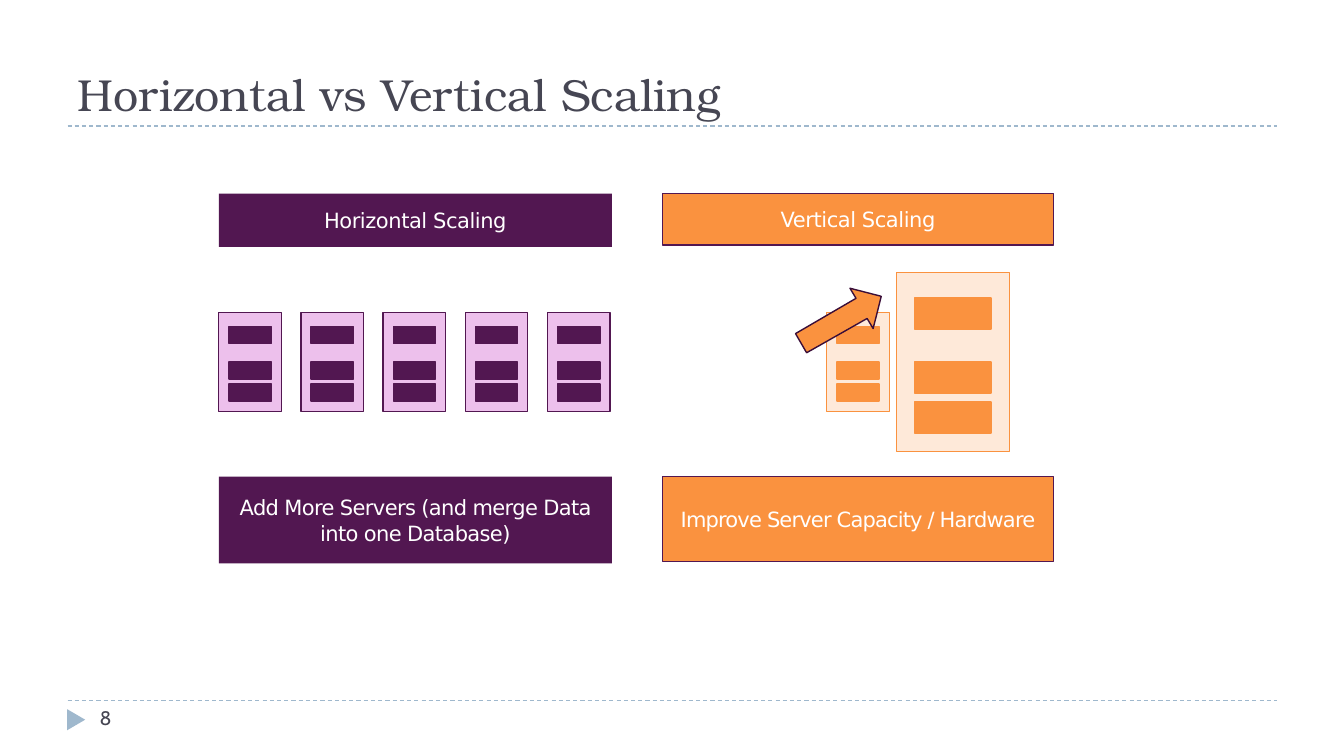
import dataclasses

import lxml.etree
import pptx
import pptx.dml.color
import pptx.enum.dml
import pptx.enum.shapes
import pptx.enum.text
import pptx.oxml.ns
import pptx.shapes.autoshape
import pptx.shapes.base
import pptx.slide
import pptx.text.text
import pptx.util

Inches = pptx.util.Inches
SHAPES = pptx.enum.shapes.MSO_SHAPE
ALIGN = pptx.enum.text.PP_ALIGN
ANCHOR = pptx.enum.text.MSO_ANCHOR


@dataclasses.dataclass(frozen=True)
class Theme:
    ink: str = "464653"
    rule: str = "9FB8CD"
    white: str = "FFFFFF"
    purple: str = "521751"
    lilac: str = "EDC0EC"
    orange: str = "FA923F"
    peach: str = "FEE9D9"
    arrow_edge: str = "3A0E39"
    title_font: str = "TeX Gyre Bonum"
    label_font: str = "DejaVu Sans"
    number_font: str = "Cabin"
    title_size: float = 32
    label_size: float = 15
    number_size: float = 14


@dataclasses.dataclass(frozen=True)
class Label:
    text: str
    left: float
    top: float
    width: float
    height: float
    fill: str
    edge: str | None
    tracking: float


@dataclasses.dataclass(frozen=True)
class Server:
    left: float
    body: str
    accent: str
    scale: float = 1


THEME = Theme()
LEFT_COLUMN, RIGHT_COLUMN = 2.17, 6.57
COLUMN_WIDTH = 3.88
SERVER_MIDDLE = 3.59
SERVER_WIDTH, SERVER_HEIGHT = 0.62, 0.98
BAY_WIDTH, BAY_HEIGHT = 0.42, 0.17
BAY_TOPS = (0.14, 0.49, 0.71)
SERVER_COUNT = 5
SERVER_PITCH = (COLUMN_WIDTH - SERVER_WIDTH) / (SERVER_COUNT - 1)

LABELS = (
    Label("Horizontal Scaling", LEFT_COLUMN, 1.92, 3.9, 0.53,
          THEME.purple, None, -0.3),
    Label("Vertical Scaling", RIGHT_COLUMN, 1.92, COLUMN_WIDTH, 0.51,
          THEME.orange, THEME.purple, -0.3),
    Label("Add More Servers (and merge Data into one Database)",
          LEFT_COLUMN, 4.73, 3.9, 0.86, THEME.purple, None, -0.45),
    Label("Improve Server Capacity / Hardware", RIGHT_COLUMN, 4.73,
          COLUMN_WIDTH, 0.84, THEME.orange, THEME.purple, -0.6),
)
SERVERS = (
    *(Server(LEFT_COLUMN + i * SERVER_PITCH, THEME.lilac, THEME.purple)
      for i in range(SERVER_COUNT)),
    Server(8.2, THEME.peach, THEME.orange),
    Server(8.89, THEME.peach, THEME.orange, scale=1.81),
)
GROWTH_ARROW = ((7.89, 3.31), (8.49, 2.96), (8.43, 2.86), (8.74, 2.94),
                (8.66, 3.26), (8.6, 3.16), (8, 3.5))


def rgb(color: str) -> pptx.dml.color.RGBColor:
    return pptx.dml.color.RGBColor.from_string(color)


def paint(shape: pptx.shapes.autoshape.Shape, fill: str, edge: str | None) -> None:
    shape.shadow.inherit = False
    shape.fill.solid()
    shape.fill.fore_color.rgb = rgb(fill)
    if edge is None:
        shape.line.fill.background()
    else:
        shape.line.color.rgb = rgb(edge)
        shape.line.width = pptx.util.Pt(1)


def place(shape: pptx.shapes.base.BaseShape, left: float, top: float,
          width: float, height: float) -> None:
    shape.left, shape.top = Inches(left), Inches(top)
    shape.width, shape.height = Inches(width), Inches(height)


def add_block(slide: pptx.slide.Slide, left: float, top: float, width: float,
              height: float, fill: str, edge: str | None,
              kind: SHAPES = SHAPES.RECTANGLE) -> pptx.shapes.autoshape.Shape:
    block = slide.shapes.add_shape(kind, Inches(left), Inches(top),
                                   Inches(width), Inches(height))
    paint(block, fill, edge)
    return block


def write(frame: pptx.text.text.TextFrame, text: str, font: str, size: float,
          color: str, align: ALIGN, anchor: ANCHOR, tracking: float = 0) -> None:
    """Fill the frame with one paragraph; tracking is letter spacing in points."""
    frame.text = text
    frame.word_wrap = True
    frame.auto_size = pptx.enum.text.MSO_AUTO_SIZE.NONE
    frame.vertical_anchor = anchor
    paragraph = frame.paragraphs[0]
    paragraph.alignment = align
    for run in paragraph.runs:
        run.font.name = font
        run.font.size = pptx.util.Pt(size)
        run.font.color.rgb = rgb(color)
        if tracking:
            run.font._element.set("spc", str(round(tracking * 100)))


def add_label(slide: pptx.slide.Slide, label: Label) -> None:
    block = add_block(slide, label.left, label.top, label.width, label.height,
                      label.fill, label.edge)
    frame = block.text_frame
    frame.margin_left = frame.margin_right = Inches(0.1)
    write(frame, label.text, THEME.label_font, THEME.label_size, THEME.white,
          ALIGN.CENTER, ANCHOR.MIDDLE, label.tracking)


def add_server(slide: pptx.slide.Slide, server: Server) -> None:
    """Draw a cabinet centred on the shared middle line, with its three bays."""
    scale = server.scale
    width, height = SERVER_WIDTH * scale, SERVER_HEIGHT * scale
    top = SERVER_MIDDLE - height / 2
    add_block(slide, server.left, top, width, height, server.body, server.accent)
    bay_width = BAY_WIDTH * scale
    for bay_top in BAY_TOPS:
        add_block(slide, server.left + (width - bay_width) / 2,
                  top + bay_top * scale, bay_width, BAY_HEIGHT * scale,
                  server.accent, server.accent)


def add_rule(slide: pptx.slide.Slide, y: float) -> None:
    rule = slide.shapes.add_connector(
        pptx.enum.shapes.MSO_CONNECTOR.STRAIGHT,
        Inches(0.67), Inches(y), Inches(12.67), Inches(y))
    rule.line.color.rgb = rgb(THEME.rule)
    rule.line.width = pptx.util.Pt(0.75)
    rule.line.dash_style = pptx.enum.dml.MSO_LINE.DASH
    lxml.etree.SubElement(rule._element.spPr, pptx.oxml.ns.qn("a:effectLst"))


def add_growth_arrow(slide: pptx.slide.Slide) -> None:
    start, *others = [(Inches(x), Inches(y)) for x, y in GROWTH_ARROW]
    outline = slide.shapes.build_freeform(*start)
    outline.add_line_segments(others, close=True)
    paint(outline.convert_to_shape(), THEME.orange, THEME.arrow_edge)


def add_page_number(slide: pptx.slide.Slide, number: int) -> None:
    marker = add_block(slide, 0.65, 7.05, 0.21, 0.18, THEME.rule, None,
                       SHAPES.ISOSCELES_TRIANGLE)
    marker.rotation = 90
    page = slide.shapes.add_textbox(Inches(0.89), Inches(6.95),
                                    Inches(2.89), Inches(0.4))
    write(page.text_frame, str(number), THEME.number_font, THEME.number_size,
          THEME.ink, ALIGN.LEFT, ANCHOR.TOP)


def main() -> None:
    deck = pptx.Presentation()
    deck.slide_width, deck.slide_height = Inches(13.33), Inches(7.5)
    slide = deck.slides.add_slide(deck.slide_layouts.get_by_name("Title Only"))

    for y in (6.95, 1.25):
        add_rule(slide, y)
    title = slide.shapes.title
    place(title, 0.67, 0.17, 12, 1.08)
    write(title.text_frame, "Horizontal vs Vertical Scaling", THEME.title_font,
          THEME.title_size, THEME.ink, ALIGN.LEFT, ANCHOR.BOTTOM)
    add_page_number(slide, 8)

    for label in LABELS:
        add_label(slide, label)
    for server in SERVERS:
        add_server(slide, server)
    add_growth_arrow(slide)
    deck.save("out.pptx")


if __name__ == "__main__":
    main()
